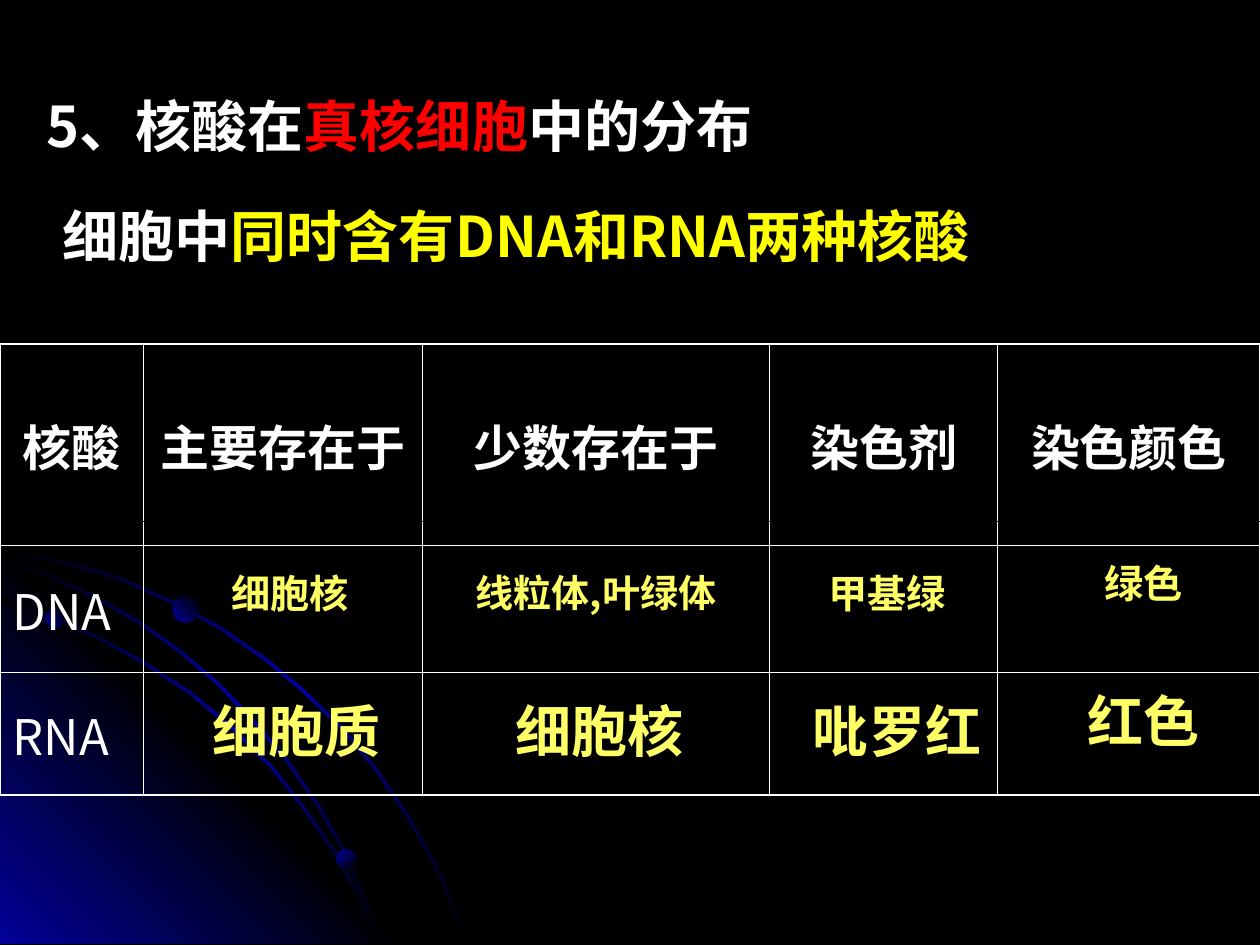
from math import hypot
from lxml.etree import SubElement as Sub
from pptx import Presentation
from pptx.dml.color import RGBColor as Rgb
from pptx.enum.shapes import MSO_CONNECTOR as Link, MSO_SHAPE as Shape
from pptx.enum.text import MSO_ANCHOR as Anchor, MSO_AUTO_SIZE as Auto, PP_ALIGN as Align
from pptx.oxml.ns import qn
from pptx.util import Inches, Pt

HEX = {"black": "000000", "blue": "010199", "white": "FFFFFF", "red": "FF0000",
       "yellow": "FFFF00", "lemon": "FFFF66"}
SANS, SERIF = "Noto Sans CJK SC", "Times New Roman"
WIDE, HIGH = Inches(10), Inches(7.5)
FADE = ("black", "blue", "black")
# Centre lines of the arcs, as (x, y) in hundredths of the slide's width
ARCS = [
    [(0, 43.65), (2.8, 44.2), (5.7, 44.8), (9.7, 46), (13.6, 47.75), (17.4, 49.8),
     (20.9, 52.2), (24.1, 54.85), (27.2, 57.85), (29.9, 61.15), (32.4, 64.85),
     (33.8, 67.3), (35.1, 69.8), (36.1, 72.3), (37.1, 74.9)],
    [(0, 47.6), (4, 48.9), (7.8, 50.6), (11.6, 52.7), (15.1, 55), (18.35, 57.7),
     (21.4, 60.7), (24.1, 64.1), (26.55, 67.65), (28.55, 71.3), (30.2, 74.9)],
    [(0, 44.3), (3.75, 45.6), (7.5, 47.4), (11, 49.35), (14.3, 51.7), (17.4, 54.35),
     (20.3, 57.4), (22.8, 60.4), (25.3, 64), (26.8, 66.6), (28.1, 69.35),
     (29.3, 72.1), (30.2, 74.9)],
]
DOTS = [(3.6, 48.3, 1.5, 135), (26.7, 67.4, 1.6, 225), (13.7, 47.3, 2.1, 135)]


def unit(n):
    """Length of n hundredths of the slide's width."""
    return round(WIDE * n / 100)


def color(name):
    return Rgb.from_string(HEX[name])


def blend(shape, names, angle):
    """Fill with evenly spaced gradient stops; angle runs clockwise."""
    shape.shadow.inherit = False
    shape.line.fill.background()
    shape.fill.gradient()
    grad = shape._element.spPr.find(qn("a:gradFill"))
    for part in list(grad):
        grad.remove(part)
    stops = Sub(grad, qn("a:gsLst"))
    for i, name in enumerate(names):
        stop = Sub(stops, qn("a:gs"), pos=str(100000 * i // (len(names) - 1)))
        Sub(stop, qn("a:srgbClr"), val=HEX[name])
    Sub(grad, qn("a:lin"), ang=str(angle * 60000), scaled="0")


def outline(slide, points):
    spots = [(unit(x), unit(y)) for x, y in points]
    pen = slide.shapes.build_freeform(*spots[0])
    pen.add_line_segments(spots[1:])
    return pen.convert_to_shape()


def band(line, half=0.12):
    """Points of a thin strip around a centre line."""
    over, under = [], []
    for i, (x, y) in enumerate(line):
        (ax, ay), (bx, by) = line[max(i - 1, 0)], line[min(i + 1, len(line) - 1)]
        size = hypot(bx - ax, by - ay)
        dx, dy = (by - ay) / size * half, (ax - bx) / size * half
        over.append((max(x + dx, 0), y + dy))
        under.append((max(x - dx, 0), y - dy))
    return over + under[::-1]


def decor(slide, side=32.2, base=74.9):
    first, *rest = ARCS
    blend(outline(slide, band(first)), FADE, 225)
    corner = outline(slide, [(side, base), (0, base), (0, base - side)])
    blend(corner, ("blue", "black", "blue"), 135)
    for arc in rest:
        blend(outline(slide, band(arc)), FADE, 225)
    for x, y, size, angle in DOTS:
        dot = slide.shapes.add_shape(Shape.OVAL, *map(unit, (x, y, size, size)))
        blend(dot, ("black", "blue"), angle)


def write(frame, runs, size, face, align=Align.LEFT, bold=True, space=None):
    """Put (text, colour) runs in the first paragraph of a frame."""
    para = frame.paragraphs[0]
    para.alignment = align
    para.line_spacing = space
    for text, tint in runs:
        run = para.add_run()
        run.text = text
        for key, value in {"size": Pt(size), "name": face, "bold": bold}.items():
            setattr(run.font, key, value)
        run.font.color.rgb = color(tint)
        Sub(run._r.rPr, qn("a:ea"), typeface=SANS)


def place(shape, box):
    for key, value in zip(("left", "top", "width", "height"), box):
        setattr(shape, key, unit(value))


def frame_of(shape, anchor=Anchor.TOP):
    frame = shape.text_frame
    look = {"word_wrap": True, "auto_size": Auto.NONE, "vertical_anchor": anchor}
    for key, value in look.items():
        setattr(frame, key, value)
    return frame


def label(slide, box, runs, size, face, **form):
    text = slide.shapes.add_textbox(*map(unit, box))
    write(frame_of(text), runs, size, face, **form)


def heading(slide, box):
    title = slide.shapes.title
    place(title, box)
    runs = [("5、核酸在", "white"), ("真核细胞", "red"), ("中的分布", "white")]
    write(frame_of(title), runs, 32, SANS)


def border(cell, edges):
    props = cell._tc.get_or_add_tcPr()
    for i, (side, width) in enumerate(edges.items()):
        line = Sub(props, qn("a:ln" + side), w=str(Pt(width)))
        Sub(Sub(line, qn("a:solidFill")), qn("a:srgbClr"), val=HEX["white"])
        props.insert(i, line)


def grid(slide, box):
    cols, rows = (11.4, 22.1, 27.6, 18.1, 20.8), (16, 10.1, 9.7)
    table = slide.shapes.add_table(len(rows), len(cols), *map(unit, box)).table
    table.first_row = table.horz_banding = False
    for col, width in zip(table.columns, cols):
        col.width = unit(width)
    for row, height in zip(table.rows, rows):
        row.height = unit(height)
    for r in range(len(rows)):
        for c in range(len(cols)):
            cell = table.cell(r, c)
            cell.vertical_anchor = Anchor.MIDDLE
            cell.fill.background()
            outer = {"L": c == 0, "R": c == len(cols) - 1,
                     "T": r == 0, "B": r == len(rows) - 1}
            border(cell, {side: 1.08 if edge else 0.45 for side, edge in outer.items()})
    heads = [("核酸", SERIF), ("主要存在于", "Arial"), ("少数存在于", "Arial"),
             ("染色剂", SERIF), ("染色颜色", SERIF)]
    for c, (text, face) in enumerate(heads):
        write(table.cell(0, c).text_frame, [(text, "white")], 28, face, Align.CENTER)
    for r, text in enumerate(("DNA", "RNA"), 1):
        write(table.cell(r, 0).text_frame, [(text, "white")], 28,
              "Noto Sans CJK JP", bold=False)


def answers(slide, top, high, items, space=None):
    """A row of answers; each item is text, left, width, size, face and lift."""
    for text, left, width, size, face, lift in items:
        label(slide, (left, top - lift, width, high), [(text, "lemon")], size, face,
              align=Align.CENTER, space=space)


def rule(slide, left, right, y):
    line = slide.shapes.add_connector(Link.STRAIGHT, *map(unit, (left, y, right, y)))
    line.line.color.rgb = color("black")
    line.line.width = Pt(1)
    Sub(line._element.spPr, qn("a:effectLst"))


def main():
    deck = Presentation()
    deck.slide_width, deck.slide_height = WIDE, HIGH
    slide = deck.slides.add_slide(deck.slide_layouts[5])
    slide.background.fill.solid()
    slide.background.fill.fore_color.rgb = color("black")
    decor(slide)
    heading(slide, (2.7, 6.8, 85.1, 6.4))
    grid(slide, (0, 27.3, 100, 35.8))
    rule(slide, 2.7, 100, 41.4)
    answers(slide, 45.4, 4.7, [
        ("细胞核", 13.8, 18.5, 22.4, SANS, 0),
        ("线粒体,叶绿体", 33.5, 27.6, 21.7, SANS, 0),
        ("甲基绿", 59.4, 22, 22.4, SERIF, 0),
        ("绿色", 81.5, 18.5, 22.4, SERIF, 0.8)], space=0.8)
    answers(slide, 54.8, 7.2, [
        ("细胞质", 15.3, 16.5, 32, SANS, 0),
        ("细胞核", 35.8, 23.6, 32, SANS, 0),
        ("吡罗红", 60.2, 22, 32, SERIF, 0),
        ("红色", 81.5, 18.5, 32, SERIF, 0.8)])
    label(slide, (4, 15.5, 75.7, 6.4),
          [("细胞中", "white"), ("同时含有DNA和RNA两种核酸", "yellow")], 32, SANS)
    deck.save("out.pptx")


if __name__ == "__main__":
    main()
